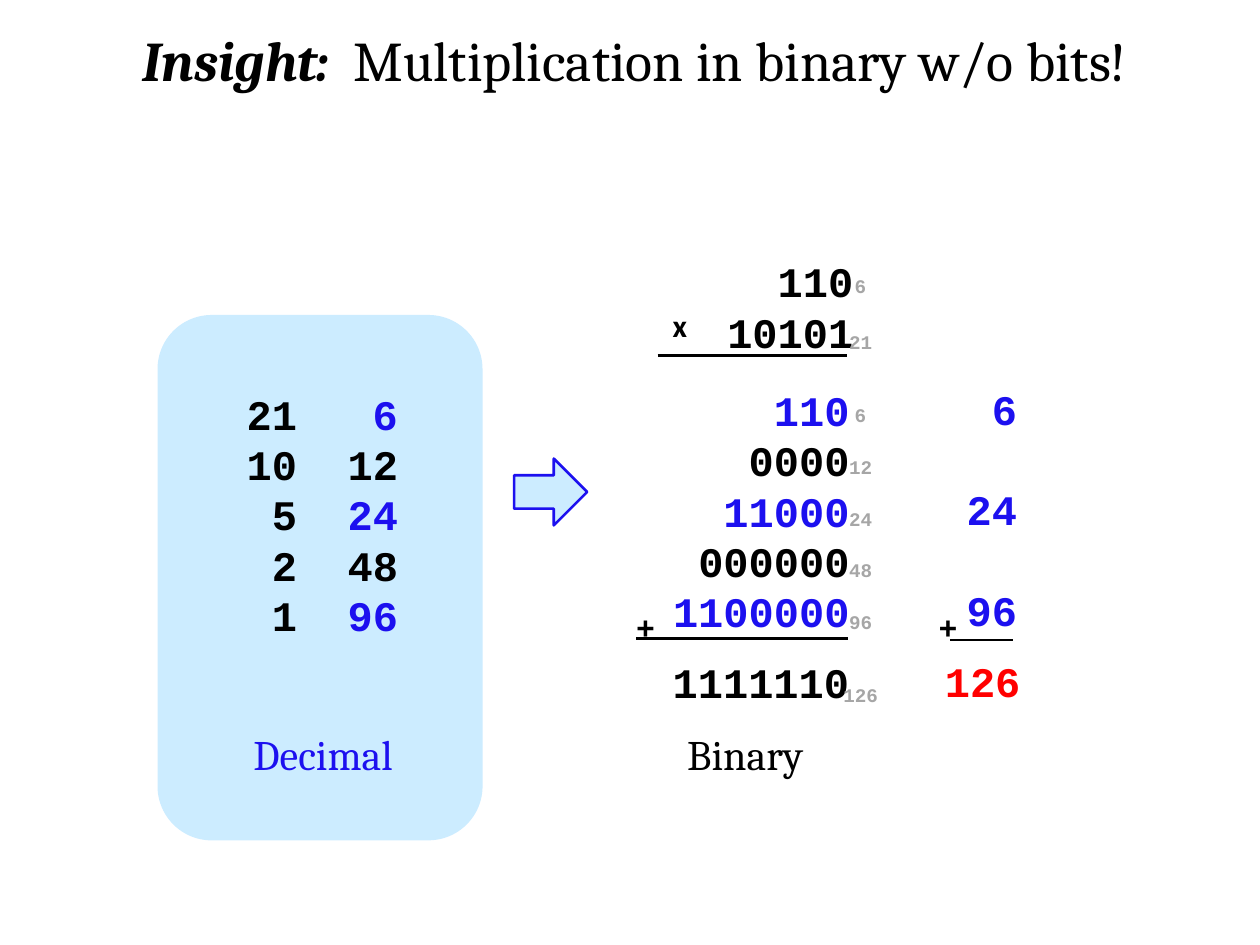
from dataclasses import dataclass

from lxml import etree
from pptx import Presentation
from pptx.dml.color import RGBColor
from pptx.enum.shapes import MSO_CONNECTOR, MSO_SHAPE
from pptx.enum.text import PP_ALIGN
from pptx.oxml.ns import qn
from pptx.util import Inches, Pt

LEFT, CENTER, RIGHT = PP_ALIGN.LEFT, PP_ALIGN.CENTER, PP_ALIGN.RIGHT
ROUNDED, ARROW = MSO_SHAPE.ROUNDED_RECTANGLE, MSO_SHAPE.RIGHT_ARROW
STRAIGHT = MSO_CONNECTOR.STRAIGHT


@dataclass(frozen=True)
class Theme:
    """Colours, fonts and sizes of the slide."""
    black: RGBColor = RGBColor(0, 0, 0)
    blue: RGBColor = RGBColor(0x1C, 0x10, 0xEF)
    pale: RGBColor = RGBColor(0xCC, 0xEC, 0xFF)
    red: RGBColor = RGBColor(0xFF, 0, 0)
    grey: RGBColor = RGBColor(0xA6, 0xA6, 0xA6)
    serif: str = "Cambria"
    sans: str = "Calibri"
    mono: str = "Courier New"
    title: int = 32
    body: int = 24
    sign: int = 18
    note: int = 11
    rule: float = 1.5


THEME = Theme()


def add_box(slide, box, align=LEFT):
    """Add an empty text box and return its text frame."""
    frame = slide.shapes.add_textbox(*map(Inches, box)).text_frame
    frame.word_wrap = True
    if align == LEFT:
        frame.margin_right = 0
    elif align == RIGHT:
        frame.margin_left = 0
    return frame


def style(paragraph, font, size, color=None, bold=False, align=LEFT):
    """Set the alignment and font of a paragraph."""
    paragraph.alignment = align
    paragraph.font.name = font
    paragraph.font.size = Pt(size)
    paragraph.font.bold = bold
    if color is not None:
        paragraph.font.color.rgb = color


def add_label(slide, box, text, font, size, color, align=LEFT, bold=False):
    """Add one line of text in a single style."""
    paragraph = add_box(slide, box, align).paragraphs[0]
    paragraph.text = text
    style(paragraph, font, size, color, bold, align)


def add_tabs(paragraph, stops):
    """Give a paragraph right-aligned tab stops."""
    tabs = etree.SubElement(paragraph._p.get_or_add_pPr(), qn("a:tabLst"))
    for stop in stops:
        etree.SubElement(tabs, qn("a:tab"), pos=str(Inches(stop)), algn="r")


def add_digits(slide, box, rows, size=THEME.body, align=LEFT, gap=0, stops=()):
    """Add rows of fixed-width digits, each row a list of text and colour pairs."""
    frame = add_box(slide, box, align)
    frame.margin_top = Inches(0.05 + 0.05 * size / THEME.body)
    for index, row in enumerate(rows):
        paragraph = frame.add_paragraph() if index else frame.paragraphs[0]
        paragraph.line_spacing = Pt(1.2 * size)
        paragraph.space_before = Pt(gap if index else 0)
        if stops:
            add_tabs(paragraph, stops)
        colors = {color for _, color in row}
        shared = colors.pop() if len(colors) == 1 else None
        style(paragraph, THEME.mono, size, shared, True, align)
        for text, color in row:
            run = paragraph.add_run()
            run.text = text
            if shared is None:
                run.font.color.rgb = color


def add_block(slide, kind, box, outline=None):
    """Add a pale shape with an optional outline."""
    shape = slide.shapes.add_shape(kind, *map(Inches, box))
    shape.shadow.inherit = False
    shape.fill.solid()
    shape.fill.fore_color.rgb = THEME.pale
    if outline is None:
        shape.line.fill.background()
    else:
        shape.line.color.rgb = outline
        shape.line.width = Pt(THEME.rule)


def add_rule(slide, left, right, top):
    """Add a horizontal sum line."""
    ends = map(Inches, (left, top, right, top))
    line = slide.shapes.add_connector(STRAIGHT, *ends)
    line.line.color.rgb = THEME.black
    line.line.width = Pt(THEME.rule)
    etree.SubElement(line._element.spPr, qn("a:effectLst"))


def add_title(slide):
    """Add the title with its emphasised first word."""
    paragraph = add_box(slide, (0.58, 0.15, 8.92, 0.64), CENTER).paragraphs[0]
    style(paragraph, THEME.serif, THEME.title, THEME.black, align=CENTER)
    lead = paragraph.add_run()
    lead.text = "Insight:  "
    lead.font.bold = lead.font.italic = True
    paragraph.add_run().text = "Multiplication in binary w/o bits!"


def add_decimal(slide):
    """Add the halving and doubling columns."""
    pairs = [(21, 6), (10, 12), (5, 24), (2, 48), (1, 96)]
    rows = [[(f"\t{half}\t", THEME.black),
             (str(double), THEME.blue if half % 2 else THEME.black)]
            for half, double in pairs]
    add_digits(slide, (1.86, 2.98, 1.41, 2.46), rows, stops=(0.4, 1.2))
    add_label(slide, (1.65, 5.73, 1.83, 0.51), "Decimal", THEME.serif,
              THEME.body, THEME.blue, CENTER)


def add_binary(slide):
    """Add the long multiplication in binary."""
    factors = [[(text, THEME.black)] for text in ("110", "10101")]
    add_digits(slide, (5.05, 1.93, 1.82, 0.91), factors, align=RIGHT)
    products = ("110", "0000", "11000", "000000", "1100000")
    rows = [[(text, THEME.blue if "1" in text else THEME.black)] for text in products]
    add_digits(slide, (3.44, 2.95, 3.4, 2.12), rows, align=RIGHT)
    add_digits(slide, (5.24, 5.11, 1.61, 0.51), [[("1111110", THEME.black)]])
    add_label(slide, (5.24, 2.38, 0.32, 0.4), "x", THEME.sans,
              THEME.sign, THEME.black, bold=True)
    add_rule(slide, 5.22, 6.72, 2.82)
    add_rule(slide, 5.05, 6.73, 5.07)
    add_label(slide, (5, 5.73, 1.83, 0.51), "Binary", THEME.serif,
              THEME.body, THEME.black, CENTER)


def add_values(slide):
    """Add the small decimal value beside each binary number."""
    notes = [("6", 2.1), ("21", 2.55), ("126", 5.35)]
    notes += [(text, 3.13 + 0.41 * index)
              for index, text in enumerate(("6", "12", "24", "48", "96"))]
    for text, top in notes:
        width = 0.2 + 0.09 * len(text)
        add_digits(slide, (6.83 - width / 2, top, width, 0.29),
                   [[(text, THEME.grey)]], THEME.note)


def add_sum(slide):
    """Add the decimal sum of the odd rows."""
    rows = [[(text, THEME.blue)] for text in ("6", "24", "96")]
    add_digits(slide, (7.56, 2.94, 0.61, 2.46), rows, align=RIGHT,
               gap=1.2 * THEME.body)
    add_digits(slide, (7.4, 5.1, 0.81, 0.51), [[("126", THEME.red)]])
    add_rule(slide, 7.54, 8.04, 5.08)


def main():
    """Build and save the slide."""
    presentation = Presentation()
    presentation.slide_width, presentation.slide_height = Inches(10), Inches(7.5)
    slide = presentation.slides.add_slide(presentation.slide_layouts[6])
    add_block(slide, ROUNDED, (1.25, 2.5, 2.58, 4.17))
    add_title(slide)
    add_decimal(slide)
    add_binary(slide)
    add_sum(slide)
    for left in (4.95, 7.35):
        add_digits(slide, (left, 4.74, 0.35, 0.4), [[("+", THEME.black)]], THEME.sign)
    add_values(slide)
    add_block(slide, ARROW, (4.08, 3.64, 0.58, 0.53), THEME.blue)
    presentation.save("out.pptx")


if __name__ == "__main__":
    main()
